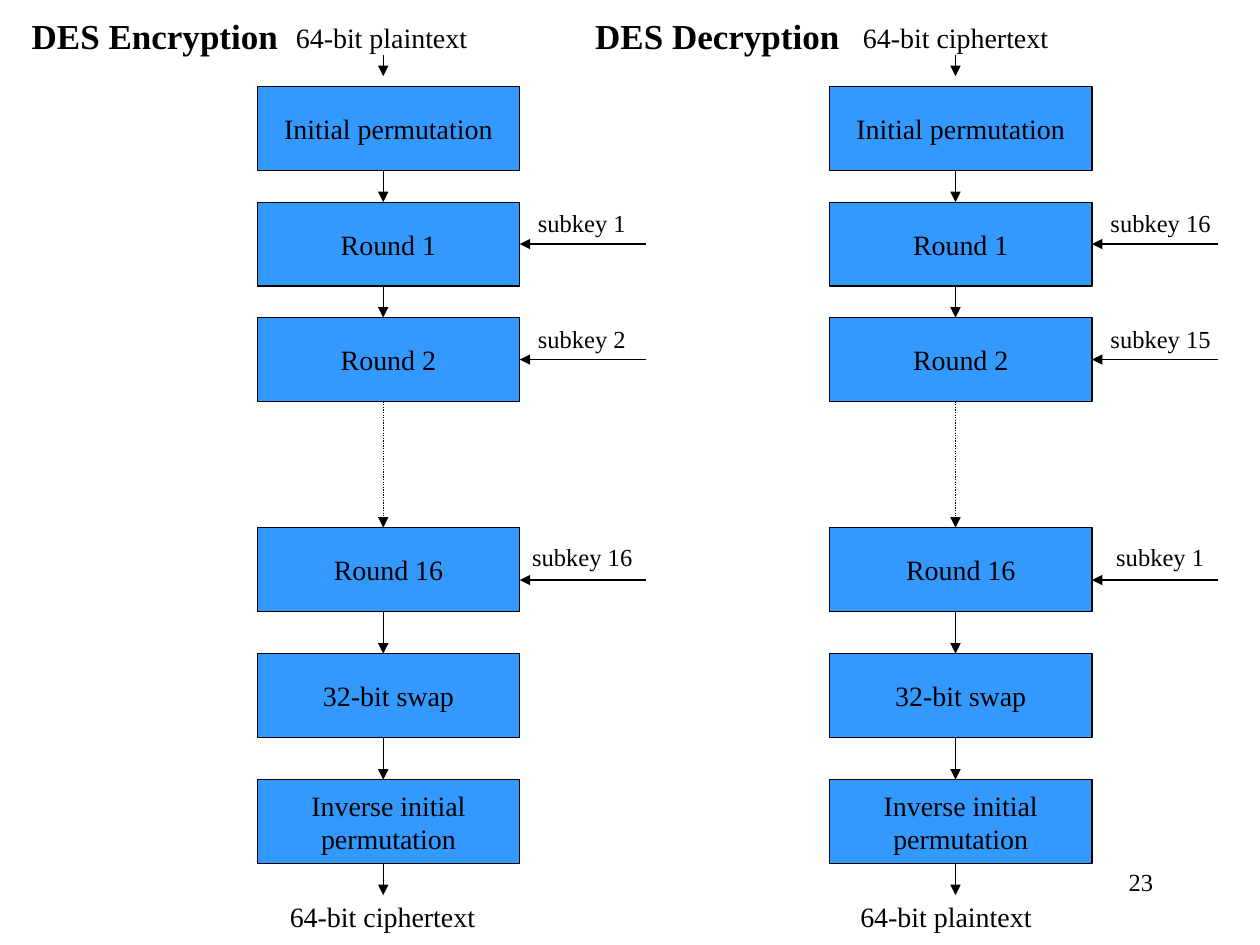
"""Build a slide that sets DES encryption beside DES decryption."""
from lxml import etree
from pptx import Presentation
from pptx.dml.color import RGBColor
from pptx.enum import dml, shapes, text
from pptx.oxml import ns
from pptx.util import Pt

STEPS = [
    ("Initial permutation", 49.5),
    ("Round 1", 115.5),
    ("Round 2", 181.5),
    ("Round 16", 301.5),
    ("32-bit swap", 373.5),
    ("Inverse initial\npermutation", 445.5),
]
SIDES = [
    {
        "left": 147,
        "title": ("DES Encryption", 11, 156),
        "input": ("64-bit plaintext", 162, 114),
        "output": ("64-bit ciphertext", 158.5, 121),
        "keys": {"Round 1": "subkey 1", "Round 2": "subkey 2", "Round 16": "subkey 16"},
        "middle": 333,
    },
    {
        "left": 474,
        "title": ("DES Decryption", 333, 155.5),
        "input": ("64-bit ciphertext", 486, 132),
        "output": ("64-bit plaintext", 484.5, 114.5),
        "keys": {"Round 1": "subkey 16", "Round 2": "subkey 15", "Round 16": "subkey 1"},
        "middle": 663.5,
    },
]
WIDE, HIGH = 150, 48
FLOW = 72
REACH = 72
LAST = "Round 16"


def paint(code):
    return RGBColor.from_string(code)


def write(frame, words, size=16, bold=False, align=text.PP_ALIGN.LEFT, wrap=False):
    frame.word_wrap = wrap
    for i, line in enumerate(words.split("\n")):
        para = frame.paragraphs[0] if i == 0 else frame.add_paragraph()
        para.alignment = align
        run = para.add_run()
        run.text = line
        run.font.name = "Times New Roman"
        run.font.size = Pt(size)
        run.font.bold = bold
        run.font.color.rgb = paint("000000")


def label(slide, words, left, top, width, height, **form):
    box = slide.shapes.add_textbox(Pt(left), Pt(top), Pt(width), Pt(height))
    write(box.text_frame, words, **form)


def block(slide, words, left, top):
    box = slide.shapes.add_shape(
        shapes.MSO_SHAPE.RECTANGLE, Pt(left), Pt(top), Pt(WIDE), Pt(HIGH))
    box.shadow.inherit = False
    box.fill.solid()
    box.fill.fore_color.rgb = paint("3399FF")
    box.line.color.rgb = paint("000000")
    box.line.width = Pt(0.75)
    box.text_frame.vertical_anchor = text.MSO_ANCHOR.MIDDLE
    write(box.text_frame, words, align=text.PP_ALIGN.CENTER)
    return box


def arrow(slide, x1, y1, x2, y2, dots=False):
    link = slide.shapes.add_connector(
        shapes.MSO_CONNECTOR.STRAIGHT, Pt(x1), Pt(y1), Pt(x2), Pt(y2))
    link.line.color.rgb = paint("000000")
    link.line.width = Pt(0.75)
    if dots:
        link.line.dash_style = dml.MSO_LINE.ROUND_DOT
    etree.SubElement(link.line._get_or_add_ln(), ns.qn("a:tailEnd"), type="triangle")
    etree.SubElement(link._element.spPr, ns.qn("a:effectLst"))
    return link


def key(slide, name, box, middle, left, top, last):
    width = 65.5 + 6.5 * (len(name) - len("subkey 1"))
    label(slide, name, middle - width / 2, top + (4.5 if last else 0), width, 24.5, size=14)
    edge = left + WIDE
    y = top + HIGH / 2 + (6 if last else 0)
    link = arrow(slide, edge + REACH, y, edge, y)
    if not last:
        link.end_connect(box, 3)


def column(slide, side):
    left = side["left"]
    x = left + FLOW
    name, start, width = side["title"]
    label(slide, name, start, 5, width, 31.5, size=20, bold=True)
    name, start, width = side["input"]
    label(slide, name, start, 8, width, 26.5, wrap=True)
    arrow(slide, x, 31.5, x, 43.5)
    foot = None
    for name, top in STEPS:
        box = block(slide, name, left, top)
        if foot:
            arrow(slide, x, foot, x, top, dots=name == LAST)
        if name in side["keys"]:
            key(slide, side["keys"][name], box, side["middle"], left, top, name == LAST)
        foot = top + HIGH
    arrow(slide, x, foot, x, foot + 18)
    name, start, width = side["output"]
    label(slide, name, start, 510.5, width, 26.5)


def main():
    deck = Presentation()
    deck.slide_width, deck.slide_height = Pt(720), Pt(540)
    slide = deck.slides.add_slide(deck.slide_layouts[6])
    for side in SIDES:
        column(slide, side)
    label(slide, "23", 516, 492, 150, 36, size=14, align=text.PP_ALIGN.RIGHT, wrap=True)
    deck.save("out.pptx")


if __name__ == "__main__":
    main()
